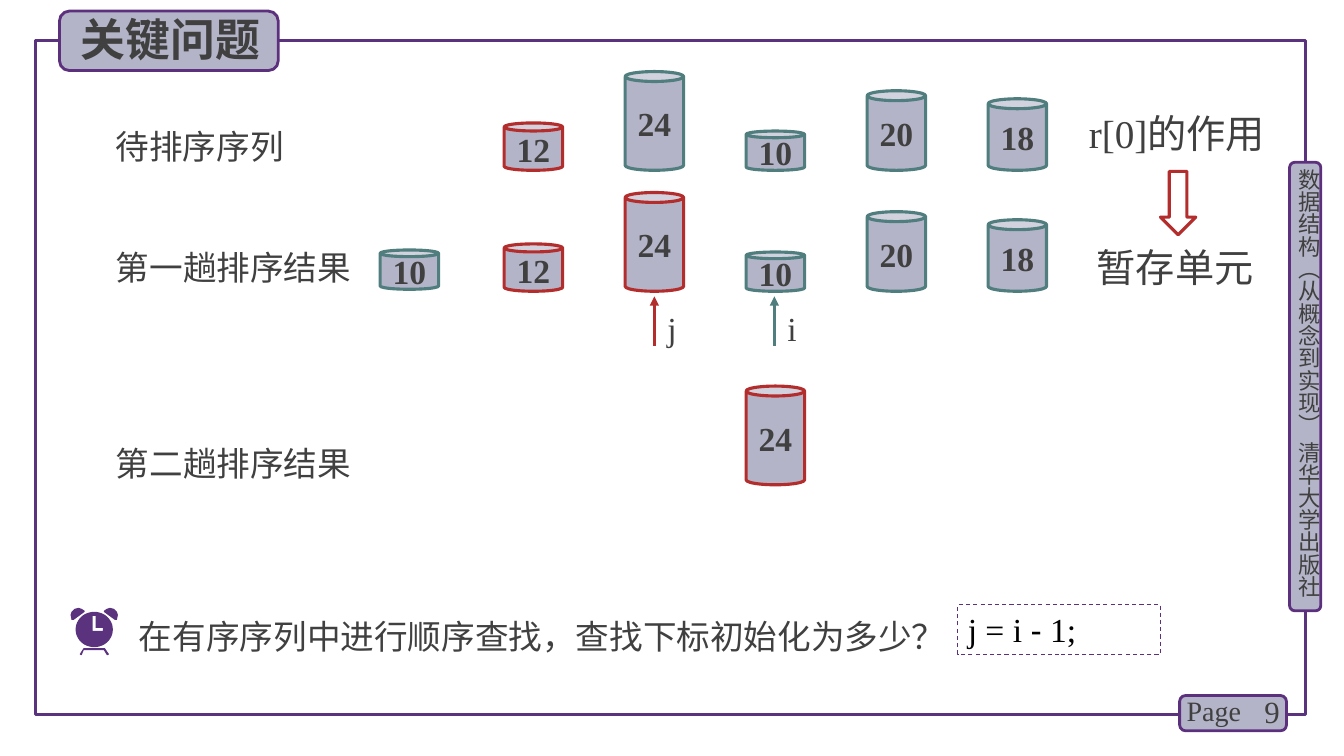
"""Build the slide on the role of r[0] in insertion sort."""
from dataclasses import dataclass
from math import cos, pi, sin

from lxml.etree import SubElement
from pptx import Presentation
from pptx.dml.color import RGBColor
from pptx.enum.dml import MSO_LINE
from pptx.enum.shapes import MSO_CONNECTOR, MSO_SHAPE
from pptx.enum.text import MSO_ANCHOR, MSO_AUTO_SIZE, PP_ALIGN
from pptx.oxml.ns import qn
from pptx.util import Pt


@dataclass(frozen=True)
class Theme:
    ink: RGBColor = RGBColor(0x40, 0x40, 0x40)
    black: RGBColor = RGBColor(0, 0, 0)
    edge: RGBColor = RGBColor(0x5A, 0x32, 0x7D)
    rim: RGBColor = RGBColor(0x5C, 0x30, 0x7D)
    fill: RGBColor = RGBColor(0xB4, 0xB4, 0xC8)
    teal: RGBColor = RGBColor(0x50, 0x7D, 0x7D)
    red: RGBColor = RGBColor(0xB4, 0x2D, 0x2D)
    han: str = "Noto Sans CJK SC"
    latin: str = "Times New Roman"
    dash: str = "Arial"
    title: int = 32
    large: int = 28
    body: int = 24
    number: int = 22
    page: int = 20
    side: int = 16


theme = Theme()
PX = 9144
deck = Presentation()
deck.slide_width, deck.slide_height = 1333 * PX, 750 * PX
slide = deck.slides.add_slide(deck.slide_layouts[5])
shapes = slide.shapes


def draw(kind, box, line, width, fill=None):
    shape = shapes.add_shape(kind, *[n * PX for n in box])
    shape.shadow.inherit = False
    if fill:
        shape.fill.solid()
        shape.fill.fore_color.rgb = fill
    else:
        shape.fill.background()
    shape.line.color.rgb = line
    shape.line.width = Pt(width)
    return shape


def write(shape, parts, size, name=theme.latin, color=theme.ink, bold=False,
          align=PP_ALIGN.LEFT, space=None, **frame):
    style = {"word_wrap": True, "vertical_anchor": MSO_ANCHOR.TOP,
             "auto_size": MSO_AUTO_SIZE.NONE, **frame}
    for key, value in style.items():
        setattr(shape.text_frame, key, value)
    para = shape.text_frame.paragraphs[0]
    para.alignment = align
    para.line_spacing = space
    for part in parts:
        run = para.add_run()
        run.text = part
        run.font.color.rgb = color
        for key, value in {"size": Pt(size), "name": name, "bold": bold}.items():
            setattr(run.font, key, value)
    for props in shape.element.iter(qn("a:rPr")):
        SubElement(props, qn("a:ea"), typeface=theme.han)


draw(MSO_SHAPE.RECTANGLE, (35, 40, 1260, 669), theme.edge, 2.25)
for box in ((1279, 161, 31, 445), (1170, 690, 106, 35), (59, 11, 217, 59)):
    badge = draw(MSO_SHAPE.ROUNDED_RECTANGLE, box, theme.rim, 2, theme.fill)

title = shapes.title
badge.element.addnext(title.element)
for key, value in {"left": 70, "top": 7, "width": 210, "height": 64}.items():
    setattr(title, key, value * PX)
write(title, ["关键问题"], theme.title, theme.han, bold=True)

zero = {"margin_left": 0, "margin_top": 0, "margin_right": 0, "margin_bottom": 0}
grow = {"auto_size": MSO_AUTO_SIZE.SHAPE_TO_FIT_TEXT}
labels = [
    ("数据结构（从概念到实现） 清华大学出版社", (1285, 167, 27, 449), theme.side,
     {"name": theme.han, **zero}),
    ("9", (1220, 686, 59, 40), theme.number,
     {"align": PP_ALIGN.RIGHT, "vertical_anchor": MSO_ANCHOR.MIDDLE}),
    ("Page", (1167, 683, 78, 44), theme.page, grow),
    ("待排序序列", (105, 120, 203, 50), theme.body, {"name": theme.han, **grow}),
    ("第一趟排序结果", (105, 240, 275, 50), theme.body, {"name": theme.han, **grow}),
    ("第二趟排序结果", (105, 434, 275, 50), theme.body, {"name": theme.han, **grow}),
    ("j", (652, 301, 31, 50), theme.body, grow),
    ("i", (771, 301, 31, 50), theme.body, grow),
    ("在有序序列中进行顺序查找，查找下标初始化为多少？", (128, 594, 791, 63),
     theme.body, {"space": 1.3, **grow}),
    ("r[0]的作用", (1070, 104, 198, 57), theme.large, grow),
    ("暂存单元", (1078, 236, 187, 57), theme.large, grow),
]
for text, box, size, style in labels:
    label = shapes.add_textbox(*[n * PX for n in box])
    write(label, [text], size, **style)
    if size == theme.side:
        label.element.txBody.bodyPr.set("vert", "eaVert")

tall = {24: 98, 20: 79, 18: 71, 12: 47, 10: 39}
order = (12, 24, 10, 20, 18)
cans = [(value, 500 + 120 * col, base, value in reds)
        for base, reds in ((169, {12}), (289, {12, 24}))
        for col, value in enumerate(order)]
cans += [(10, 377, 287, False), (24, 740, 481, True)]
for value, left, base, hot in cans:
    high = tall[value]
    can = draw(MSO_SHAPE.CAN, (left, base - high, 58, high),
               theme.red if hot else theme.teal, 2.25, theme.fill)
    can.adjustments[0] = 0.17
    write(can, [str(value)], theme.body, bold=True, align=PP_ALIGN.CENTER,
          word_wrap=False, vertical_anchor=MSO_ANCHOR.MIDDLE)

for x, color in ((649, theme.red), (768, theme.teal)):
    arrow = shapes.add_connector(MSO_CONNECTOR.STRAIGHT,
                                 x * PX, 343 * PX, x * PX, 294 * PX)
    arrow.line.color.rgb = color
    arrow.line.width = Pt(2.25)
    SubElement(arrow.line._get_or_add_ln(), qn("a:tailEnd"), type="triangle")
    SubElement(arrow.element.spPr, qn("a:effectLst"))

bell = [(78, 603), (74, 604), (71, 607), (70, 610), (71, 615), (73, 615),
        (84, 607), (84, 606), (81, 604)]
feet = [(79, 649), (83, 643), (104, 643), (108, 649), (107, 650), (106, 650),
        (103, 645), (83, 645), (81, 650), (80, 650)]
dial = [(93.5 + 18.5 * cos(n * pi / 24), 624.5 + 17.5 * sin(n * pi / 24))
        for n in range(48)]
hands = [(92, 611), (95, 611), (95, 623), (102, 623), (102, 626), (92, 626)]
for rings in ([feet], [bell], [[(187 - x, y) for x, y in bell]], [dial, hands]):
    pen = None
    for ring in rings:
        dots = [(x * 10, y * 10) for x, y in ring]
        if pen:
            pen.move_to(*dots[0])
        else:
            pen = shapes.build_freeform(*dots[0], scale=PX / 10)
        pen.add_line_segments(dots[1:], close=True)
    clock = pen.convert_to_shape()
    clock.shadow.inherit = False
    clock.fill.solid()
    clock.fill.fore_color.rgb = theme.edge
    clock.line.fill.background()

answer = draw(MSO_SHAPE.RECTANGLE, (950, 600, 201, 49), theme.rim, 0.75)
answer.line.dash_style = MSO_LINE.DASH
write(answer, ["j = i ", "-", " 1;"], theme.body, color=theme.black,
      space=Pt(28), **grow)
answer.text_frame.paragraphs[0].runs[1].font.name = theme.dash
draw(MSO_SHAPE.DOWN_ARROW, (1151, 170, 35, 63), theme.red, 2.25)

deck.save("out.pptx")
